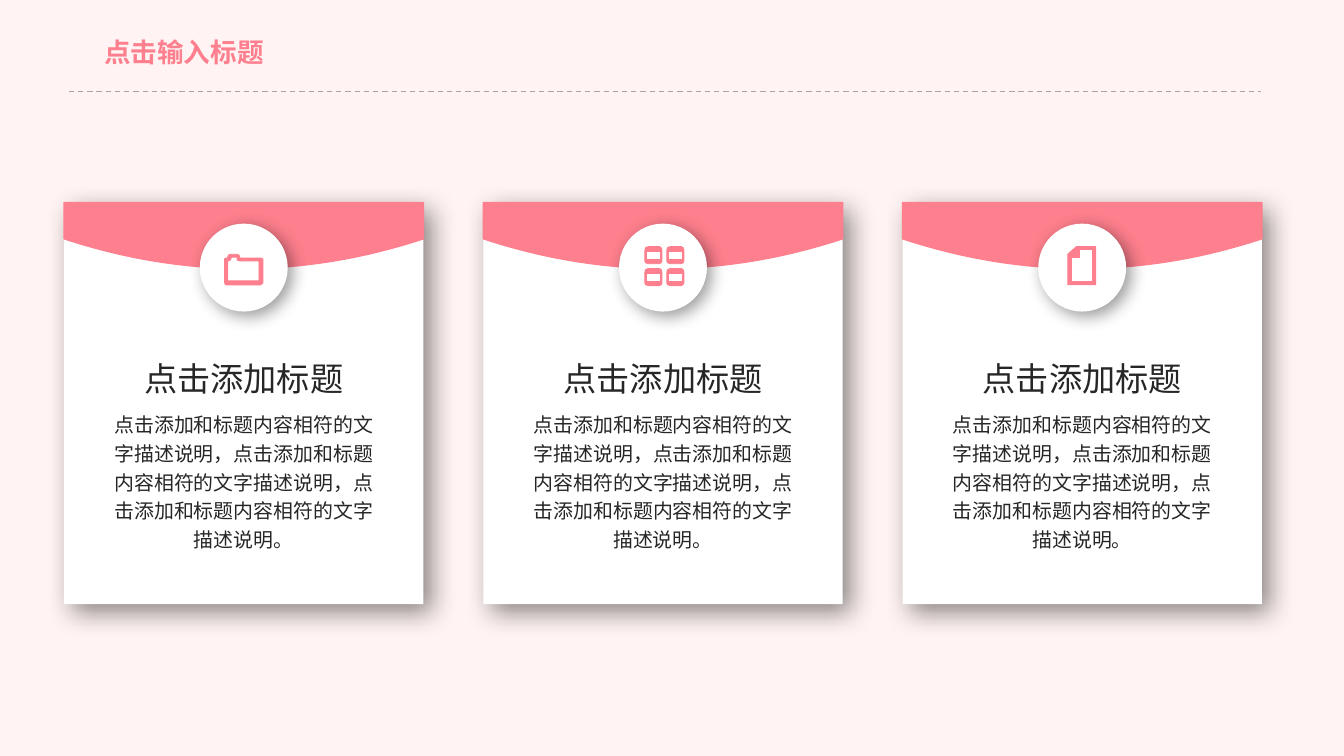
from dataclasses import dataclass

from lxml.etree import SubElement
from pptx import Presentation
from pptx.dml.color import RGBColor
from pptx.enum.dml import MSO_LINE
from pptx.enum.shapes import MSO_CONNECTOR, MSO_SHAPE
from pptx.enum.text import MSO_ANCHOR, MSO_AUTO_SIZE, PP_ALIGN
from pptx.oxml.ns import qn
from pptx.util import Inches, Pt

PINK = RGBColor(0xFE, 0x7F, 0x8D)
BLUSH = RGBColor(0xFF, 0xF4, 0xF3)
WHITE = RGBColor(0xFF, 0xFF, 0xFF)
INK = RGBColor(0x26, 0x26, 0x26)
GREY = RGBColor(0xA6, 0xA6, 0xA6)
FONT = "Noto Sans CJK SC"
WIDTH, HEIGHT = Inches(14.06), Inches(7.91)

Point = tuple[float, float]
Contour = list[Point]


@dataclass(frozen=True)
class Shadow:
    alpha: int
    blur: int
    dist: int


@dataclass(frozen=True)
class TextStyle:
    size: int
    color: RGBColor = INK
    bold: bool = False
    align: PP_ALIGN = PP_ALIGN.CENTER
    spacing: float = 1.0
    wrap: bool = False


@dataclass(frozen=True)
class Card:
    heading: str
    body: str
    icon: list[list[Contour]]


CARD_SHADOW = Shadow(45, 20, 8)
BADGE_SHADOW = Shadow(40, 13, 5)
TITLE = TextStyle(20, PINK, True, PP_ALIGN.LEFT)
HEADING = TextStyle(25)
BODY = TextStyle(15, spacing=1.2, wrap=True)

# Shares of the slide, in percent
CARD_LEFT, CARD_TOP, CARD_W, CARD_H = 4.77, 26.8, 26.74, 53.1
CARD_PITCH = 31.19
BAND_EDGE, BAND_DEPTH = 4.8, 8.72
BAND_STEPS = 40
BADGE_W, BADGE_H, BADGE_TOP = 6.54, 11.63, 29.58
ICON_W, ICON_TOP = 2.84, 32.62
ICON_CELLS = 40

FOLDER = [
    [(0, 13), (1, 12), (3, 12), (4, 9), (6, 8), (13, 8), (15, 9), (16, 12),
     (38, 12), (40, 13), (40, 38), (38, 40), (1, 40), (0, 38)],
    [(3, 15), (6, 14), (7, 11), (13, 11), (13, 14), (16, 15), (36, 15),
     (36, 36), (3, 36)],
]
TILE = [
    [(4, 0), (15, 0), (17, 1), (18, 4), (18, 15), (17, 17), (15, 18), (4, 18),
     (1, 17), (0, 15), (0, 4), (1, 1)],
    [(2, 5), (16, 5), (16, 14), (2, 14)],
]
TILES = [[[(x + dx, y + dy) for x, y in contour] for contour in TILE]
         for dy in (0, 23) for dx in (1, 24)]
PAGE = [
    [(34, 0), (34, 40), (5, 40), (5, 8), (14, 0)],
    [(31, 3), (17, 3), (17, 11), (9, 11), (9, 37), (31, 37)],
]

CARD_HEADING = "点击添加标题"
CARD_BODY = "，".join(["点击添加和标题内容相符的文字描述说明"] * 3) + "。"
CARDS = [Card(CARD_HEADING, CARD_BODY, icon)
         for icon in ([FOLDER], TILES, [PAGE])]


def across(share: float) -> int:
    return round(WIDTH * share / 100)


def down(share: float) -> int:
    return round(HEIGHT * share / 100)


def box(left: float, top: float, width: float, height: float) -> tuple[int, ...]:
    return across(left), down(top), across(width), down(height)


def paint(sp, fill: RGBColor, line: float = 0) -> None:
    sp.shadow.inherit = False
    sp.fill.solid()
    sp.fill.fore_color.rgb = fill
    if line:
        sp.line.color.rgb = fill
        sp.line.width = Pt(line)
    else:
        sp.line.fill.background()


def add_panel(slide, kind: MSO_SHAPE, frame: tuple[int, ...], shadow: Shadow) -> None:
    """Add a white shape with a soft shadow to its lower right."""
    sp = slide.shapes.add_shape(kind, *frame)
    paint(sp, WHITE)
    effects = sp._element.spPr.find(qn("a:effectLst"))
    outer = SubElement(effects, qn("a:outerShdw"), blurRad=str(Pt(shadow.blur)),
                       dist=str(Pt(shadow.dist)), dir=str(45 * 60000),
                       algn="tl", rotWithShape="0")
    color = SubElement(outer, qn("a:srgbClr"), val="000000")
    SubElement(color, qn("a:alpha"), val=str(shadow.alpha * 1000))


def add_outline(slide, contours: list[Contour], line: float) -> None:
    """Add a pink freeform; inner contours become holes."""
    first, *holes = contours
    builder = slide.shapes.build_freeform(*first[0])
    builder.add_line_segments(first[1:])
    for hole in holes:
        builder.move_to(*hole[0])
        builder.add_line_segments(hole[1:])
    paint(builder.convert_to_shape(), PINK, line)


def set_text(sp, frame: tuple[int, ...], text: str, style: TextStyle) -> None:
    sp.left, sp.top, sp.width, sp.height = frame
    tf = sp.text_frame
    frame_format = dict(
        word_wrap=style.wrap, auto_size=MSO_AUTO_SIZE.SHAPE_TO_FIT_TEXT,
        vertical_anchor=MSO_ANCHOR.TOP,
        margin_left=across(0.78), margin_right=across(0.78),
        margin_top=down(0.63), margin_bottom=down(0.63))
    for name, value in frame_format.items():
        setattr(tf, name, value)
    p = tf.paragraphs[0]
    p.alignment, p.line_spacing = style.align, style.spacing
    r = p.add_run()
    r.text = text
    for name, value in dict(name=FONT, size=Pt(style.size), bold=style.bold).items():
        setattr(r.font, name, value)
    r.font.color.rgb = style.color
    SubElement(r._r.get_or_add_rPr(), qn("a:ea"), typeface=FONT)


def add_text(slide, frame: tuple[int, ...], text: str, style: TextStyle) -> None:
    set_text(slide.shapes.add_textbox(*frame), frame, text, style)


def band_contour(left: float) -> Contour:
    """Trace the card's header band, whose lower edge sags in the middle."""
    points = [(across(left), down(CARD_TOP)), (across(left + CARD_W), down(CARD_TOP))]
    for i in range(BAND_STEPS + 1):
        t = 1 - 2 * i / BAND_STEPS
        sag = BAND_DEPTH - (BAND_DEPTH - BAND_EDGE) * t * t
        points.append((across(left + CARD_W * (1 + t) / 2), down(CARD_TOP + sag)))
    return points


def add_icon(slide, center: float, icon: list[list[Contour]]) -> None:
    cell = across(ICON_W) / ICON_CELLS
    left, top = across(center - ICON_W / 2), down(ICON_TOP)
    for part in icon:
        add_outline(slide, [[(round(left + x * cell), round(top + y * cell))
                             for x, y in contour] for contour in part], 0.75)


def add_card(slide, left: float, card: Card) -> None:
    center = left + CARD_W / 2
    add_panel(slide, MSO_SHAPE.RECTANGLE,
              box(left, CARD_TOP, CARD_W, CARD_H), CARD_SHADOW)
    add_outline(slide, [band_contour(left)], 1)
    add_panel(slide, MSO_SHAPE.OVAL,
              box(center - BADGE_W / 2, BADGE_TOP, BADGE_W, BADGE_H), BADGE_SHADOW)
    add_icon(slide, center, card.icon)
    add_text(slide, box(center - 8.32, 46.78, 16.64, 6.7), card.heading, HEADING)
    add_text(slide, box(center - 10.49, 53.35, 20.98, 20.48), card.body, BODY)


def add_rule(slide) -> None:
    y = down(12.14)
    rule = slide.shapes.add_connector(
        MSO_CONNECTOR.STRAIGHT, across(5.12), y, across(93.81), y)
    rule.line.color.rgb = GREY
    rule.line.width = Pt(1)
    rule.line.dash_style = MSO_LINE.DASH
    SubElement(rule._element.spPr, qn("a:effectLst"))


def main() -> None:
    prs = Presentation()
    prs.slide_width, prs.slide_height = WIDTH, HEIGHT
    slide = prs.slides.add_slide(prs.slide_layouts.get_by_name("Title Only"))
    slide.background.fill.solid()
    slide.background.fill.fore_color.rgb = BLUSH
    set_text(slide.shapes.title, box(6.97, 4.17, 13.51, 5.56), "点击输入标题", TITLE)
    add_rule(slide)
    for i, card in enumerate(CARDS):
        add_card(slide, CARD_LEFT + i * CARD_PITCH, card)
    prs.save("out.pptx")


if __name__ == "__main__":
    main()
